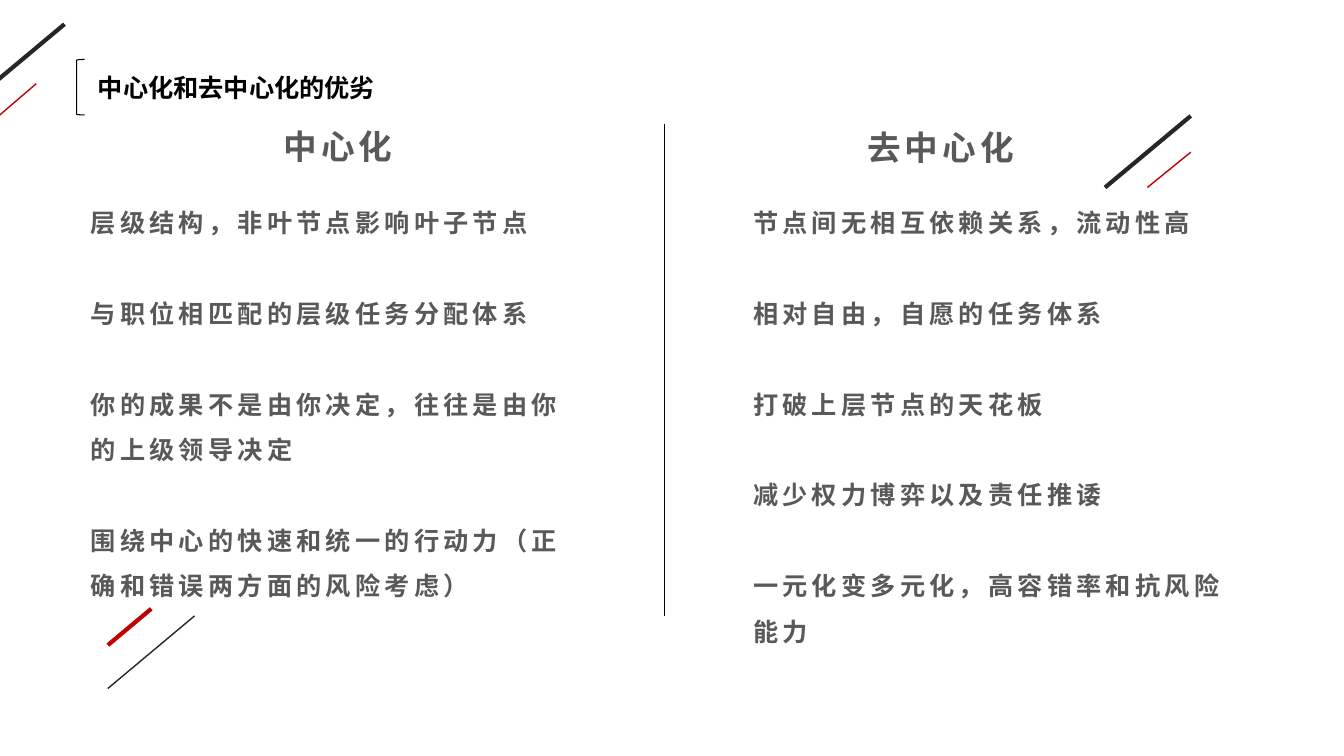
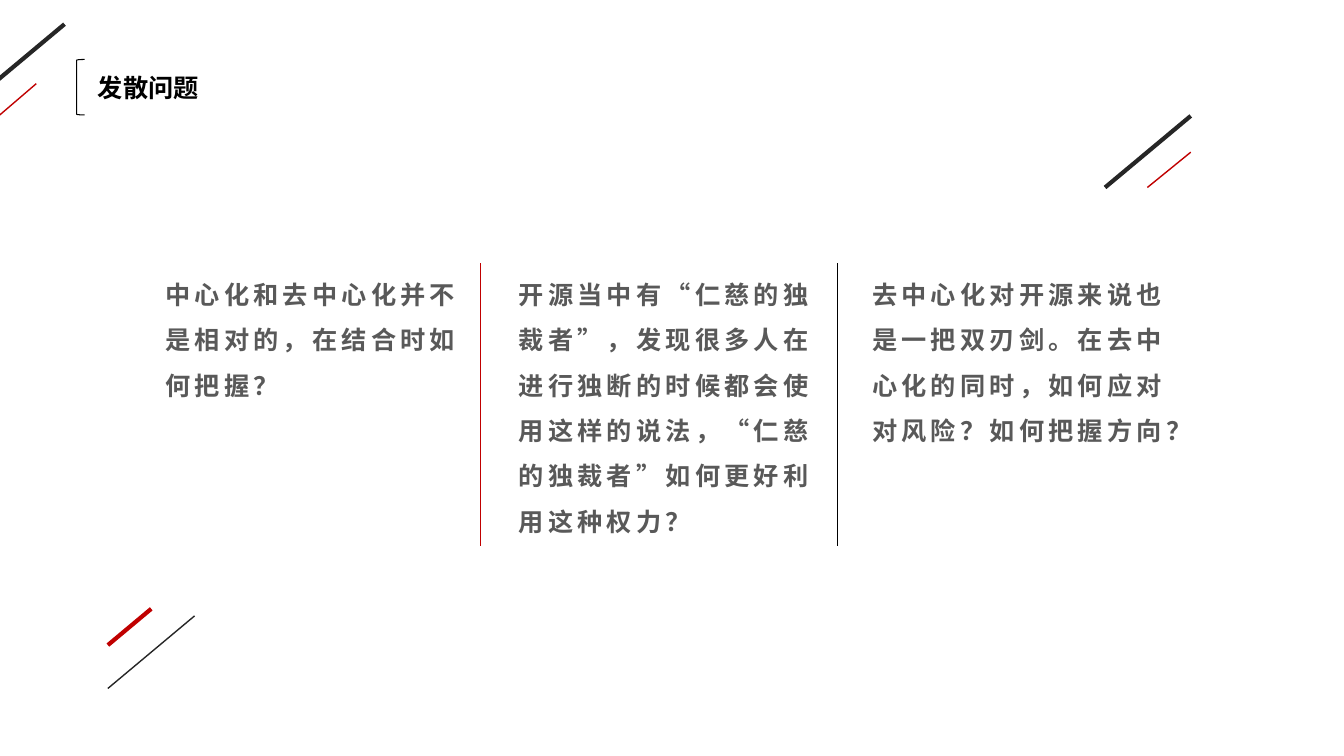
from dataclasses import dataclass

import lxml.etree
import pptx
import pptx.dml.color
import pptx.enum.lang
import pptx.enum.shapes
import pptx.enum.text
import pptx.oxml
import pptx.oxml.ns
import pptx.util

Inches = pptx.util.Inches
Pt = pptx.util.Pt
Align = pptx.enum.text.PP_ALIGN

COLORS = {"ink": "262626", "red": "C00000", "black": "000000", "gray": "595959"}
CJK_FONT = "Noto Sans CJK SC"
TITLE_FONT = "Arial"
COMPARISON_LAYOUT = 4
ITEM_GAP = 32.4  # one line of 18 pt text at 1.5 spacing


@dataclass(frozen=True)
class Stroke:
    x1: float
    y1: float
    x2: float
    y2: float
    color: str
    weight: float


@dataclass(frozen=True)
class Passage:
    slot: int  # placeholder index in the layout
    left: float
    top: float
    width: float
    height: float
    paragraphs: tuple[str, ...]
    size: float = 18
    align: Align = Align.LEFT
    color: str = "gray"
    font: str = CJK_FONT
    tracking: float = 3
    line_spacing: float = 1.5


@dataclass(frozen=True)
class Page:
    title: str
    passages: tuple[Passage, ...]
    dividers: tuple[Stroke, ...]


# Slanted accents on every slide
ACCENTS = (
    Stroke(0.64, 0.24, -0.21, 0.95, "ink", 3),
    Stroke(0.36, 0.83, -0.06, 1.19, "red", 1),
    Stroke(11.81, 1.15, 10.96, 1.86, "ink", 3),
    Stroke(11.81, 1.51, 11.38, 1.86, "red", 1),
    Stroke(1.5, 6.04, 1.07, 6.4, "red", 3),
    Stroke(1.93, 6.11, 1.07, 6.83, "ink", 1),
)

CENTRAL = (
    "层级结构，非叶节点影响叶子节点",
    "与职位相匹配的层级任务分配体系",
    "你的成果不是由你决定，往往是由你的上级领导决定",
    "围绕中心的快速和统一的行动力（正确和错误两方面的风险考虑）",
)
DECENTRAL = (
    "节点间无相互依赖关系，流动性高",
    "相对自由，自愿的任务体系",
    "打破上层节点的天花板",
    "减少权力博弈以及责任推诿",
    "一元化变多元化，高容错率和抗风险能力",
)
QUESTIONS = (
    "中心化和去中心化并不是相对的，在结合时如何把握？",
    "开源当中有“仁慈的独裁者”，发现很多人在进行独断的时候都会使用这样的说法，"
    "“仁慈的独裁者”如何更好利用这种权力？",
    "去中心化对开源来说也是一把双刃剑。在去中心化的同时，如何应对对风险？如何把握方向？",
)
QUESTION_LEFT, QUESTION_STEP = 1.54, 3.505

PAGES = (
    Page(
        "中心化和去中心化的优劣",
        (
            Passage(1, 2.71, 1, 1.56, 0.64, ("中心化",), 24),
            Passage(2, 0.8, 1.86, 4.88, 5.05, CENTRAL),
            Passage(3, 8.42, 1.01, 1.82, 0.64, ("去中心化",), 24, Align.CENTER),
            Passage(4, 7.37, 1.86, 4.88, 4.59, DECENTRAL),
        ),
        (Stroke(6.59, 1.23, 6.59, 6.11, "black", 0.75),),
    ),
    Page(
        "发散问题",
        tuple(
            Passage(i + 1, QUESTION_LEFT + i * QUESTION_STEP, 2.57, 3.23, 2.78, (question,))
            for i, question in enumerate(QUESTIONS)
        ),
        (
            Stroke(4.77, 2.61, 4.77, 5.42, "red", 0.75),
            Stroke(8.31, 2.61, 8.31, 5.42, "black", 0.75),
        ),
    ),
)


def rgb(name: str) -> pptx.dml.color.RGBColor:
    return pptx.dml.color.RGBColor.from_string(COLORS[name])


def draw_stroke(slide: pptx.slide.Slide, stroke: Stroke) -> None:
    line = slide.shapes.add_connector(
        pptx.enum.shapes.MSO_CONNECTOR.STRAIGHT,
        Inches(stroke.x1), Inches(stroke.y1), Inches(stroke.x2), Inches(stroke.y2),
    )
    line.line.color.rgb = rgb(stroke.color)
    line.line.width = Pt(stroke.weight)
    properties = line._element.spPr
    lxml.etree.SubElement(properties, pptx.oxml.ns.qn("a:effectLst"))


def write_passage(slide: pptx.slide.Slide, passage: Passage) -> None:
    holder = next(p for p in slide.placeholders if p.placeholder_format.idx == passage.slot)
    holder.left, holder.top = Inches(passage.left), Inches(passage.top)
    holder.width, holder.height = Inches(passage.width), Inches(passage.height)
    frame = holder.text_frame
    frame.word_wrap = True
    frame.auto_size = pptx.enum.text.MSO_AUTO_SIZE.NONE
    frame.vertical_anchor = pptx.enum.text.MSO_ANCHOR.TOP
    for number, text in enumerate(passage.paragraphs):
        paragraph = frame.add_paragraph() if number else frame.paragraphs[0]
        paragraph.alignment = passage.align
        paragraph.line_spacing = passage.line_spacing
        paragraph.space_before = Pt(ITEM_GAP if number else 0)
        paragraph.space_after = Pt(0)
        # No bullet and no hanging indent
        layout = paragraph._p.get_or_add_pPr()
        layout.set("marL", "0")
        layout.set("indent", "0")
        lxml.etree.SubElement(layout, pptx.oxml.ns.qn("a:buNone"))
        run = paragraph.add_run()
        run.text = text
        font = run.font
        font.name, font.size, font.bold = passage.font, Pt(passage.size), True
        font.color.rgb = rgb(passage.color)
        font.language_id = pptx.enum.lang.MSO_LANGUAGE_ID.SIMPLIFIED_CHINESE
        # Letter spacing and East Asian typeface
        run_properties = run._r.get_or_add_rPr()
        run_properties.set("spc", str(int(passage.tracking * 100)))
        east_asian = lxml.etree.Element(pptx.oxml.ns.qn("a:ea"), typeface=CJK_FONT)
        run_properties.find(pptx.oxml.ns.qn("a:latin")).addnext(east_asian)


def draw_bracket(slide: pptx.slide.Slide) -> None:
    bracket = slide.shapes.add_shape(
        pptx.enum.shapes.MSO_SHAPE.LEFT_BRACKET,
        Inches(0.76), Inches(0.59), Inches(0.08), Inches(0.55),
    )
    bracket.shadow.inherit = False
    bracket.fill.background()
    bracket.line.color.rgb = rgb("black")
    bracket.line.width = Pt(0.75)


def build_page(deck: pptx.presentation.Presentation, page: Page) -> None:
    slide = deck.slides.add_slide(deck.slide_layouts[COMPARISON_LAYOUT])

    # Title and text
    title = Passage(0, 0.87, 0.67, 6, 0.4, (page.title,), color="black",
                    font=TITLE_FONT, tracking=0, line_spacing=1)
    for passage in (title, *page.passages):
        write_passage(slide, passage)
    for holder in list(slide.placeholders):
        if not holder.text_frame.text:
            holder._element.getparent().remove(holder._element)

    # Title bracket, accents and dividers
    draw_bracket(slide)
    for stroke in (*ACCENTS, *page.dividers):
        draw_stroke(slide, stroke)


def main() -> None:
    deck = pptx.Presentation()
    deck.slide_width, deck.slide_height = Inches(13.33), Inches(7.5)
    for page in PAGES:
        build_page(deck, page)
    deck.save("out.pptx")


if __name__ == "__main__":
    main()
